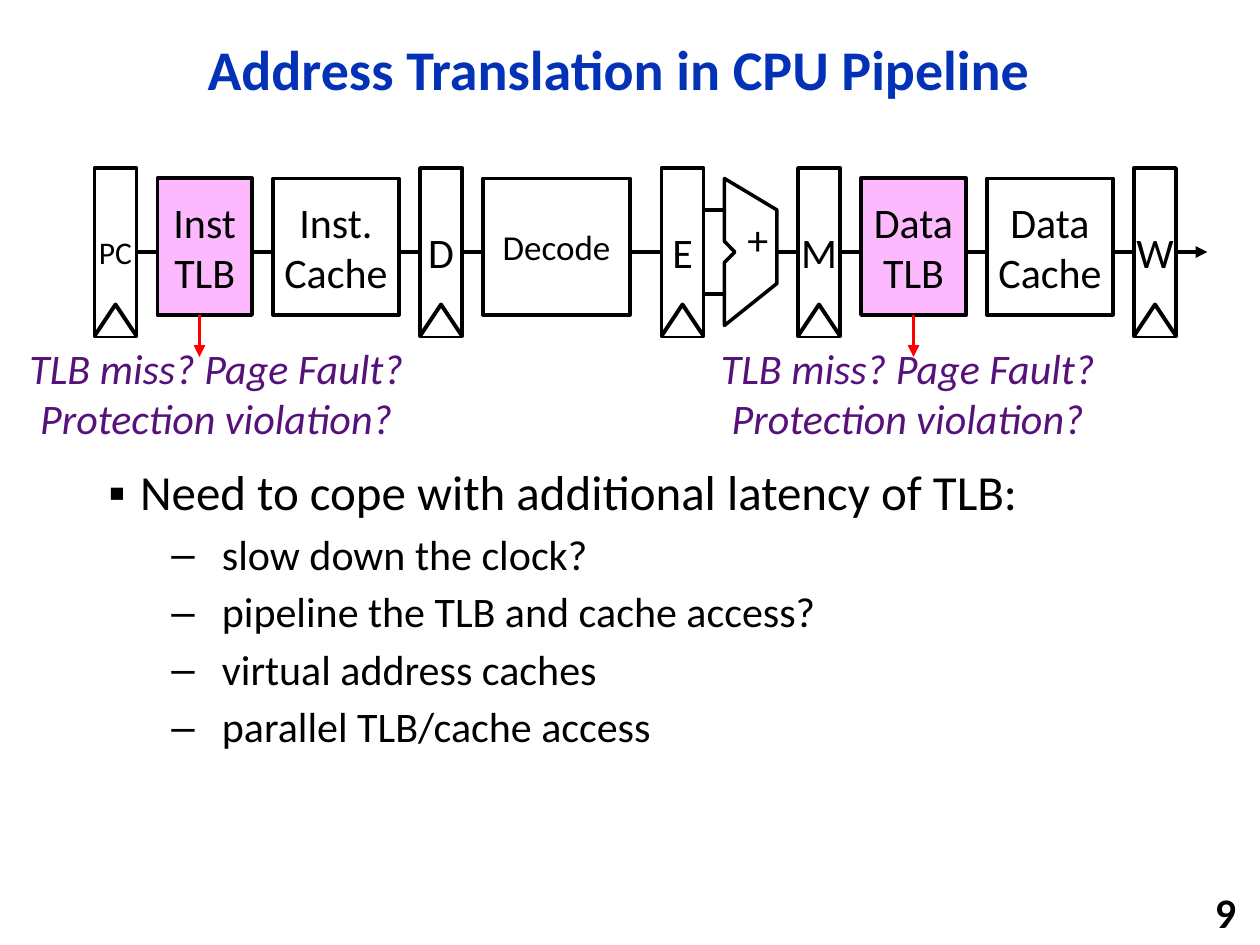
from dataclasses import dataclass

from lxml import etree
from pptx import Presentation
from pptx import util as u
from pptx.dml.color import RGBColor
from pptx.enum import shapes, text
from pptx.oxml import ns


@dataclass(frozen=True)
class Theme:
    font: str = "Calibri"
    ink: str = "000000"
    paper: str = "FFFFFF"
    title: str = "0332B7"
    tlb: str = "FDB9FE"
    fault: str = "FF0000"
    caption: str = "56127A"
    title_size: int = 32
    lead_size: int = 28
    text_size: int = 24
    decode_size: int = 20
    pc_size: int = 18
    bold_line: float = 2.25
    line: float = 2


THEME = Theme()
GRID = 2.54 / 12
GAP = 2
START = 9
MIDDLE = 24

TITLE = "Address Translation in CPU Pipeline"
LEAD = "Need to cope with additional latency of TLB:"
OPTIONS = [
    "slow down the clock?",
    "pipeline the TLB and cache access?",
    "virtual address caches",
    "parallel TLB/cache access",
]
PAGE_NUMBER = "9"
FAULTS = ["TLB miss? Page Fault?", "Protection violation?"]
FAULT_ARROWS = [19, 87]
FAULT_LEFTS = [0.18, 14.12]

STAGES = [
    ("register", "PC", 4),
    ("tlb", "Inst TLB", 9),
    ("cache", "Inst. Cache", 12),
    ("register", "D", 4),
    ("decode", "Decode", 14),
    ("register", "E", 4),
    ("alu", "+", 5),
    ("register", "M", 4),
    ("tlb", "Data TLB", 10),
    ("cache", "Data Cache", 12),
    ("register", "W", 4),
]
EXTRA_GAP = {"Decode": 1}
LABEL_SIZES = {"PC": THEME.pc_size, "Decode": THEME.decode_size}

deck = Presentation()
deck.slide_width, deck.slide_height = u.Cm(25.4), u.Cm(19.05)
page = deck.slides.add_slide(deck.slide_layouts[1])


def cells(*values):
    return [u.Cm(value * GRID) for value in values]


def write(paragraph, words, size=THEME.text_size, color=THEME.ink,
          bold=False, italic=False, align=text.PP_ALIGN.CENTER):
    paragraph.alignment = align
    span = paragraph.add_run()
    span.text = words
    span.font.name = THEME.font
    span.font.size = u.Pt(size)
    span.font.bold = bold
    span.font.italic = italic
    span.font.color.rgb = RGBColor.from_string(color)


def prepare(box, wrap=True, anchor=text.MSO_ANCHOR.MIDDLE, inset=None):
    frame = box.text_frame
    frame.word_wrap = wrap
    frame.auto_size = text.MSO_AUTO_SIZE.NONE
    frame.vertical_anchor = anchor
    if inset is not None:
        frame.margin_left = frame.margin_right = inset
        frame.margin_top = frame.margin_bottom = inset
    return frame


def place(box, left, top, width, height):
    box.left, box.top = u.Cm(left), u.Cm(top)
    box.width, box.height = u.Cm(width), u.Cm(height)


def paint(box, fill=THEME.paper, weight=THEME.bold_line):
    box.shadow.inherit = False
    box.fill.solid()
    box.fill.fore_color.rgb = RGBColor.from_string(fill)
    box.line.color.rgb = RGBColor.from_string(THEME.ink)
    box.line.width = u.Pt(weight)


def add_outline(points, close, weight):
    builder = page.shapes.build_freeform(*points[0], scale=u.Cm(GRID))
    builder.add_line_segments(points[1:], close=close)
    paint(builder.convert_to_shape(), weight=weight)


def add_wire(x1, y1, x2, y2, color=THEME.ink, arrow=False):
    wire = page.shapes.add_connector(
        shapes.MSO_CONNECTOR.STRAIGHT, *cells(x1, y1, x2, y2))
    wire.line.color.rgb = RGBColor.from_string(color)
    wire.line.width = u.Pt(THEME.bold_line)
    if arrow:
        etree.SubElement(wire.line._get_or_add_ln(), ns.qn("a:tailEnd"), type="triangle")
    etree.SubElement(wire._element.spPr, ns.qn("a:effectLst"))


def add_block(kind, label, left, width):
    register = kind == "register"
    top, height = (16, 16) if register else (17, 13)
    block = page.shapes.add_shape(
        shapes.MSO_SHAPE.RECTANGLE, *cells(left, top, width, height))
    if kind == "tlb":
        paint(block, fill=THEME.tlb)
    else:
        paint(block, weight=THEME.bold_line if register else THEME.line)
    frame = prepare(block, wrap=not register, inset=0 if kind in ("tlb", "cache") else None)
    write(frame.paragraphs[0], label, size=LABEL_SIZES.get(label, THEME.text_size))
    if register:
        add_outline([(left, 32), (left + width / 2, 29), (left + width, 32)],
                    False, THEME.bold_line)


def add_alu(label, left, width):
    right = left + width
    add_outline([(left, 17), (left, 23), (left + 1, 24), (left, 25),
                 (left, 31), (right, 27), (right, 20)], True, THEME.line)
    for y in (20, 28):
        add_wire(left - GAP, y, left, y)
    box = page.shapes.add_textbox(u.Cm(14.81), u.Cm(4.17), u.Cm(0.94), u.Cm(1.27))
    write(prepare(box, wrap=False).paragraphs[0], label)


def add_bullet(paragraph, mark, margin, hanging):
    properties = paragraph._p.get_or_add_pPr()
    properties.set("marL", str(u.Cm(margin)))
    properties.set("indent", str(-u.Cm(hanging)))
    etree.SubElement(properties, ns.qn("a:buChar"), char=mark)


title = page.shapes.title
place(title, 2.34, 0.43, 20.27, 2.06)
heading = prepare(title).paragraphs[0]
heading.line_spacing = 0.9
write(heading, TITLE, size=THEME.title_size, color=THEME.title, bold=True)

body = page.placeholders[1]
place(body, 1.93, 9.32, 21.34, 7.7)
frame = prepare(body, anchor=text.MSO_ANCHOR.TOP)
for index, words in enumerate([LEAD] + OPTIONS):
    para = frame.add_paragraph() if index else frame.paragraphs[0]
    para.level = 1 if index else 0
    add_bullet(para, *(("–", 2.29, 1.02) if index else ("▪", 0.64, 0.64)))
    para.line_spacing = 0.9
    para.space_before = u.Pt(7 if index else 0)
    write(para, words, size=THEME.text_size if index else THEME.lead_size,
          align=text.PP_ALIGN.LEFT)

number = page.shapes.add_textbox(u.Cm(19.89), u.Cm(17.98), u.Cm(5.28), u.Cm(0.81))
write(prepare(number).paragraphs[0], PAGE_NUMBER, bold=True, align=text.PP_ALIGN.RIGHT)

add_wire(74, MIDDLE, 115, MIDDLE, arrow=True)
add_wire(13, MIDDLE, 63, MIDDLE)

left = START
for kind, label, width in STAGES:
    if kind == "alu":
        add_alu(label, left, width)
    else:
        add_block(kind, label, left, width)
    left += width + GAP + EXTRA_GAP.get(label, 0)

for arrow_x, caption_left in zip(FAULT_ARROWS, FAULT_LEFTS):
    add_wire(arrow_x, 30, arrow_x, 34, color=THEME.fault, arrow=True)
    caption = page.shapes.add_textbox(u.Cm(caption_left), u.Cm(6.76), u.Cm(8.36), u.Cm(2.31))
    frame = prepare(caption, wrap=False)
    for index, words in enumerate(FAULTS):
        para = frame.add_paragraph() if index else frame.paragraphs[0]
        write(para, words, color=THEME.caption, italic=True)

deck.save("out.pptx")
